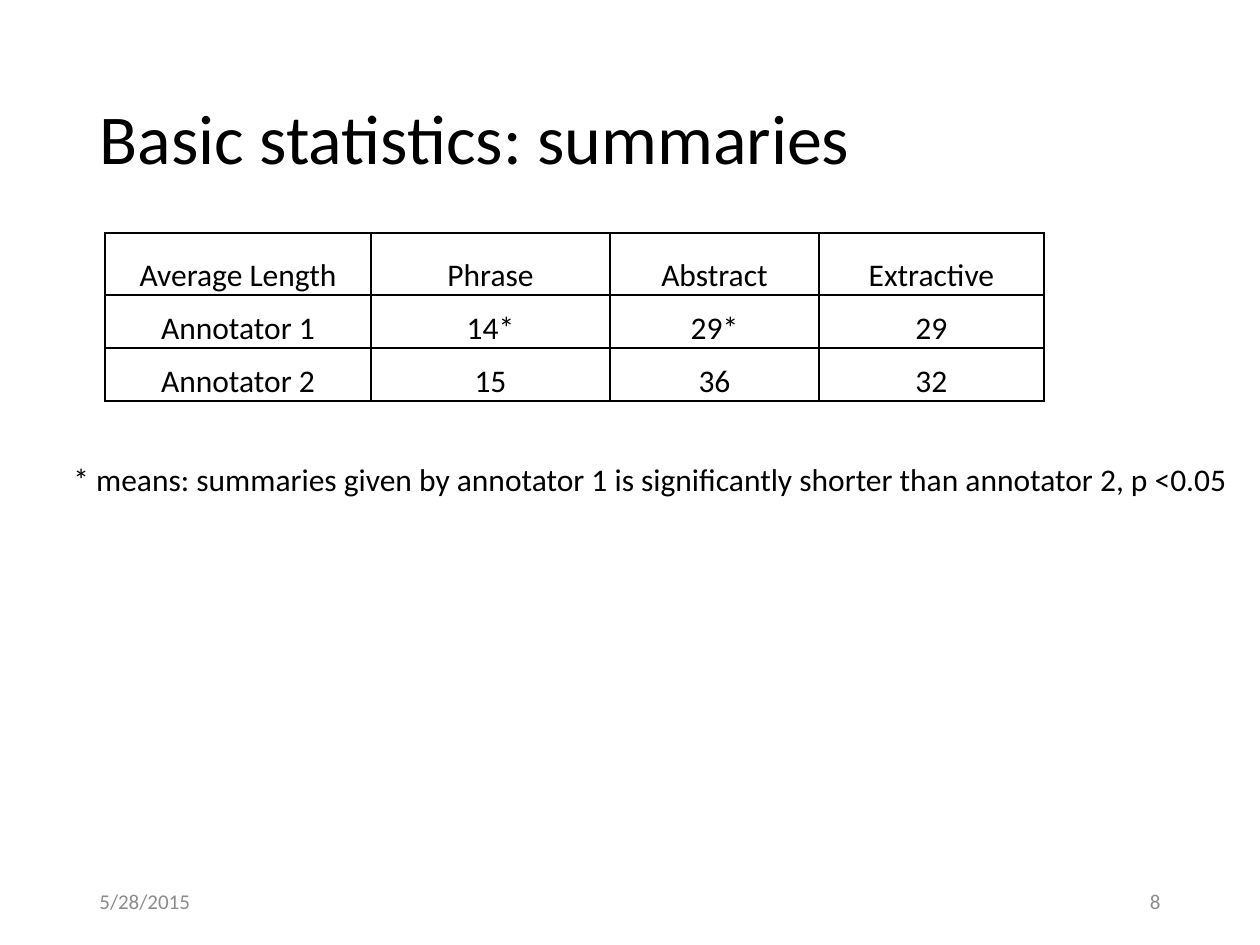
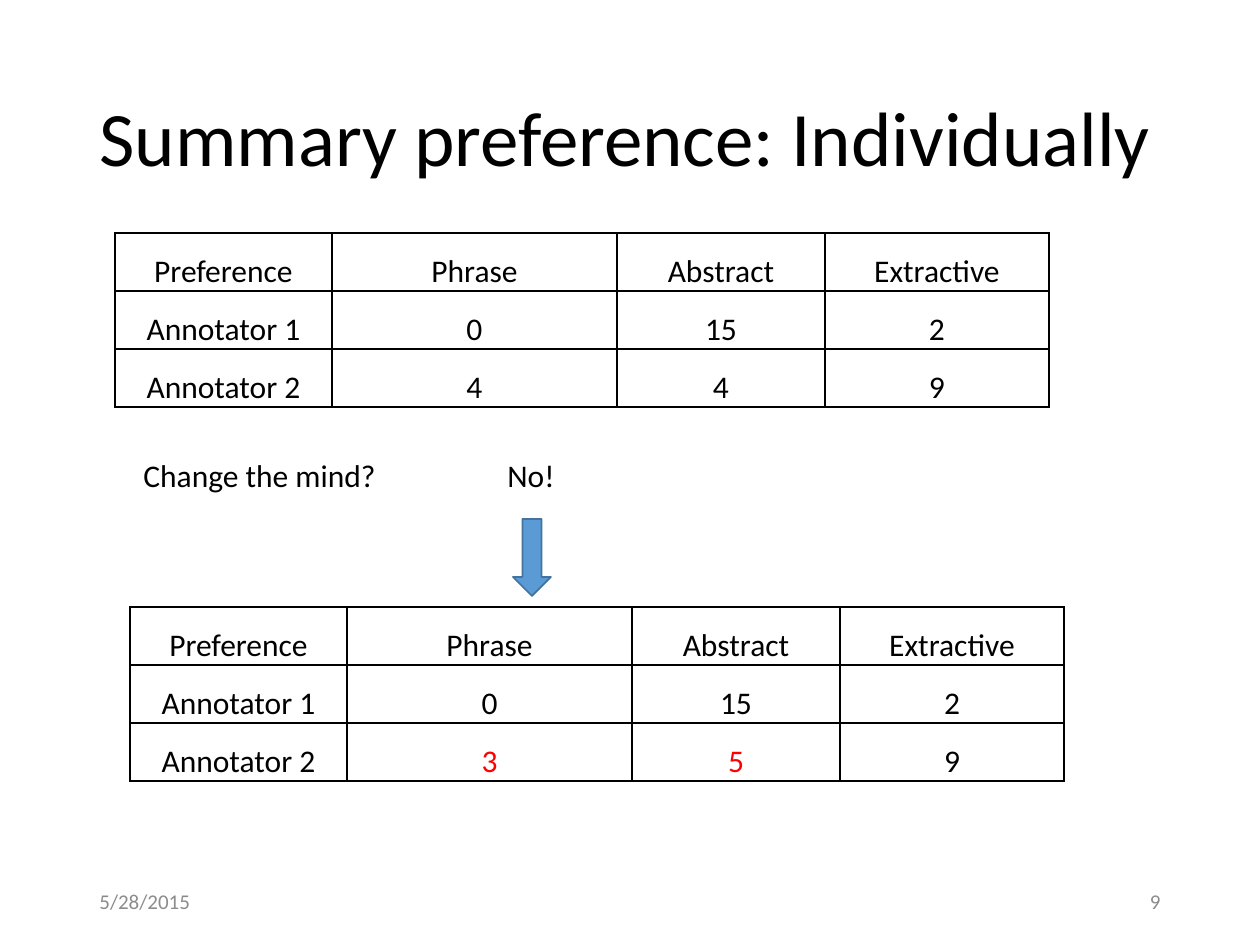
from lxml import etree
from pptx import Presentation
from pptx.dml.color import RGBColor
from pptx.enum.shapes import MSO_SHAPE
from pptx.enum.text import MSO_ANCHOR, MSO_AUTO_SIZE, PP_ALIGN
from pptx.oxml.ns import qn
from pptx.util import Emu, Pt

LEFT, CENTER, RIGHT = PP_ALIGN.LEFT, PP_ALIGN.CENTER, PP_ALIGN.RIGHT
TOP, MIDDLE, BOTTOM = MSO_ANCHOR.TOP, MSO_ANCHOR.MIDDLE, MSO_ANCHOR.BOTTOM
FIT_SHAPE, NO_FIT = MSO_AUTO_SIZE.SHAPE_TO_FIT_TEXT, MSO_AUTO_SIZE.NONE
DOWN_ARROW = MSO_SHAPE.DOWN_ARROW

# Shared style
PX_PER_INCH = 126
FONT = "Calibri"
BLACK, GRAY, RED = "000000", "8C8C8C", "FF0000"
ARROW_FILL, ARROW_LINE = "5B9BD5", "43739E"
BODY_SIZE, FOOTER_SIZE = 18, 12
DATE = "5/28/2015"
TITLE_BOX = (87, 50, 1086, 183)
DATE_BOX = (87, 876, 284, 50)
NUMBER_BOX = (889, 876, 284, 50)
TABLE_TOP = 233
PREFERENCE_COLUMNS = (217, 285, 208, 224)
PREFERENCE_ROWS = (58, 58, 58)


def px(length):
    return Emu(round(length * 914400 / PX_PER_INCH))


def color(hex_string):
    return RGBColor.from_string(hex_string)


def format_text(text_frame, size, hex_color=BLACK, align=LEFT):
    for paragraph in text_frame.paragraphs:
        paragraph.alignment = align
        for run in paragraph.runs:
            run.font.name = FONT
            run.font.size = Pt(size)
            run.font.color.rgb = color(hex_color)


def add_text(slide, text, box, size=BODY_SIZE, hex_color=BLACK, align=LEFT,
             anchor=TOP, wrap=False):
    text_frame = slide.shapes.add_textbox(*map(px, box)).text_frame
    text_frame.text = text
    text_frame.word_wrap = wrap
    text_frame.auto_size = NO_FIT if wrap else FIT_SHAPE
    text_frame.vertical_anchor = anchor
    format_text(text_frame, size, hex_color, align)


def add_slide(presentation, title, title_size, number):
    """Add a slide with its title, date and page number."""
    slide = presentation.slides.add_slide(presentation.slide_layouts[5])
    shape = slide.shapes.title
    shape.left, shape.top, shape.width, shape.height = map(px, TITLE_BOX)
    text_frame = shape.text_frame
    text_frame.text = title
    text_frame.word_wrap = True
    text_frame.auto_size = NO_FIT
    text_frame.vertical_anchor = MIDDLE
    text_frame.paragraphs[0].line_spacing = 0.9
    format_text(text_frame, title_size)

    for text, box, align in ((DATE, DATE_BOX, LEFT),
                             (str(number), NUMBER_BOX, RIGHT)):
        add_text(slide, text, box, FOOTER_SIZE, GRAY, align, MIDDLE, wrap=True)
    return slide


def add_borders(cell):
    properties = cell._tc.get_or_add_tcPr()
    for index, side in enumerate(("lnL", "lnR", "lnT", "lnB")):
        line = etree.Element(qn(f"a:{side}"), w=str(Pt(1)))
        fill = etree.SubElement(line, qn("a:solidFill"))
        etree.SubElement(fill, qn("a:srgbClr"), val=BLACK)
        properties.insert(index, line)


def add_grid(slide, left, top, columns, rows, values, red_cells=()):
    """Add a bordered table; red_cells holds (row, column) pairs."""
    box = (left, top, sum(columns), sum(rows))
    table = slide.shapes.add_table(len(rows), len(columns), *map(px, box)).table
    table.first_row = table.horz_banding = False
    for column, width in zip(table.columns, columns):
        column.width = px(width)
    for row, height in zip(table.rows, rows):
        row.height = px(height)

    for row_index, row_values in enumerate(values):
        for column_index, value in enumerate(row_values):
            cell = table.cell(row_index, column_index)
            cell.text = value
            cell.vertical_anchor = BOTTOM
            cell.margin_left = cell.margin_right = cell.margin_top = px(1)
            cell.margin_bottom = 0
            cell.fill.background()
            add_borders(cell)
            is_red = (row_index, column_index) in red_cells
            format_text(cell.text_frame, BODY_SIZE, RED if is_red else BLACK, CENTER)


def add_down_arrow(slide, box):
    arrow = slide.shapes.add_shape(DOWN_ARROW, *map(px, box))
    arrow.shadow.inherit = False
    arrow.fill.solid()
    arrow.fill.fore_color.rgb = color(ARROW_FILL)
    arrow.line.color.rgb = color(ARROW_LINE)
    arrow.line.width = Pt(1)


def build_statistics(presentation):
    slide = add_slide(presentation, "Basic statistics: summaries", 40, 8)
    add_grid(slide, 105, TABLE_TOP, (266, 239, 209, 225), (62, 53, 53), (
        ("Average Length", "Phrase", "Abstract", "Extractive"),
        ("Annotator 1", "14*", "29*", "29"),
        ("Annotator 2", "15", "36", "32"),
    ))
    add_text(slide, "* means: summaries given by annotator 1 is significantly "
             "shorter than annotator 2, p <0.05", (61, 454, 1199, 50))


def build_preference(presentation):
    slide = add_slide(presentation, "Summary preference: Individually", 44, 9)
    shared_rows = (("Preference", "Phrase", "Abstract", "Extractive"),
                   ("Annotator 1", "0", "15", "2"))

    # Preferences before and after the question
    add_grid(slide, 115, TABLE_TOP, PREFERENCE_COLUMNS, PREFERENCE_ROWS,
             (*shared_rows, ("Annotator 2", "4", "4", "9")))
    add_grid(slide, 130, 607, PREFERENCE_COLUMNS, PREFERENCE_ROWS,
             (*shared_rows, ("Annotator 2", "3", "5", "9")),
             red_cells=((2, 1), (2, 2)))

    # Question, answer and arrow between the tables
    add_down_arrow(slide, (513, 519, 38, 77))
    add_text(slide, "Change the mind?", (131, 450, 261, 50))
    add_text(slide, "No!", (495, 450, 73, 50))


def main():
    presentation = Presentation()
    presentation.slide_width, presentation.slide_height = px(1260), px(945)
    build_statistics(presentation)
    build_preference(presentation)
    presentation.save("out.pptx")


if __name__ == "__main__":
    main()
